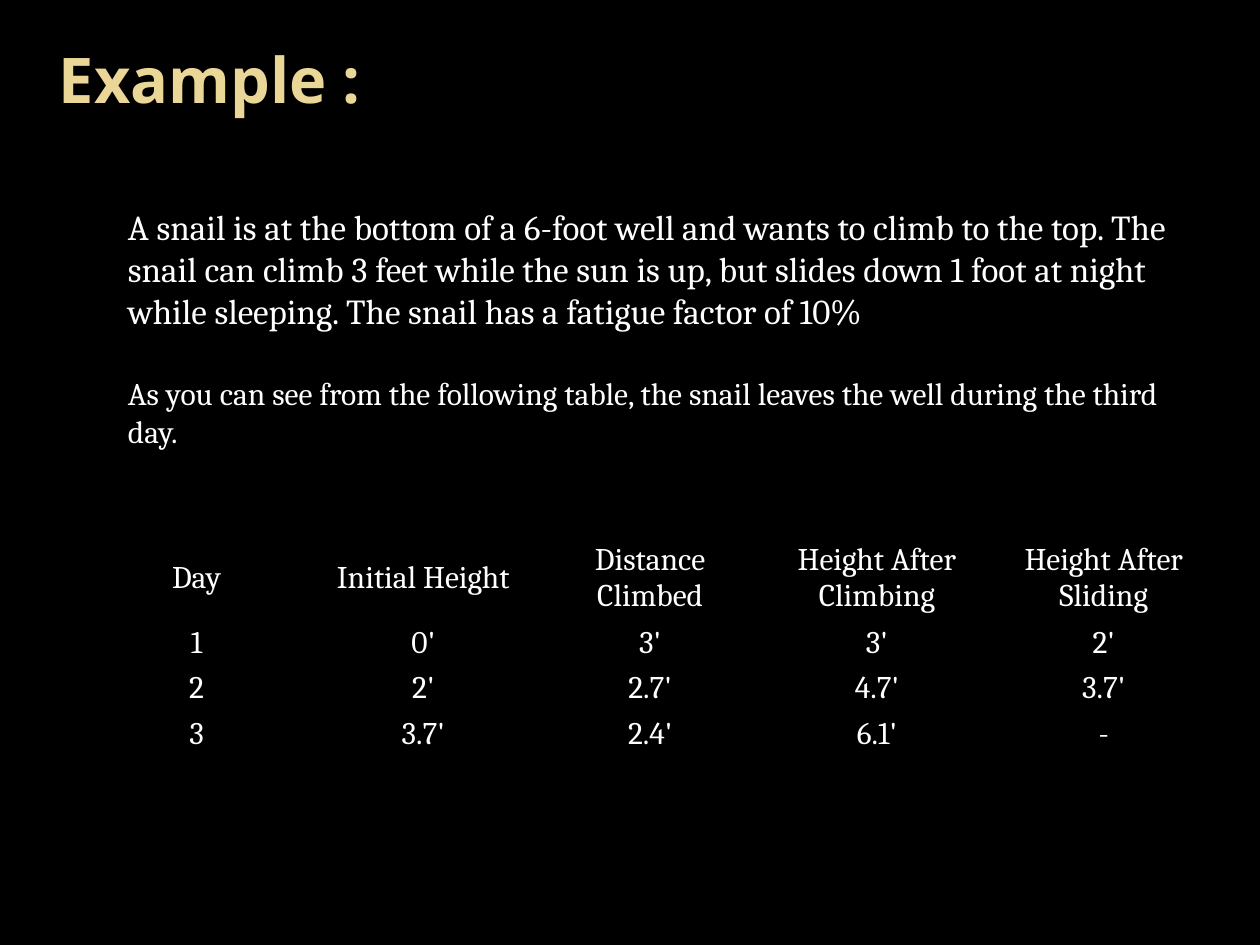
from pptx import Presentation
from pptx.dml.color import RGBColor
from pptx.enum.text import MSO_ANCHOR, PP_ALIGN
from pptx.util import Pt

BACKGROUND, GOLD, WHITE = "000000", "EAD696", "FFFFFF"
NO_STYLE_NO_GRID = "{2D5ABB26-0587-4C30-8999-92F81FD0307C}"

PROBLEM = (
    "A snail is at the bottom of a 6-foot well and wants to climb to the top. "
    "The snail can climb 3 feet while the sun is up, but slides down 1 foot at "
    "night while sleeping. The snail has a fatigue factor of 10%"
)
ANSWER = (
    "As you can see from the following table, the snail leaves the well "
    "during the third day."
)
CLIMB = [
    ["Day", "Initial Height", "Distance Climbed", "Height After Climbing",
     "Height After Sliding"],
    ["1", "0'", "3'", "3'", "2'"],
    ["2", "2'", "2.7'", "4.7'", "3.7'"],
    ["3", "3.7'", "2.4'", "6.1'", "-"],
]


def color(hex_value):
    return RGBColor.from_string(hex_value)


def write(paragraph, text, size=18, font="Cambria", ink=WHITE, bold=False,
          align=PP_ALIGN.LEFT, before=0):
    paragraph.alignment = align
    paragraph.space_before = Pt(before)
    run = paragraph.add_run()
    run.text = text
    run.font.size = Pt(size)
    run.font.name = font
    run.font.bold = bold
    run.font.color.rgb = color(ink)


def add_title(slide, text):
    title = slide.shapes.title
    title.left, title.top, title.width, title.height = Pt(24), Pt(18), Pt(192), Pt(54)
    title.text_frame.vertical_anchor = MSO_ANCHOR.MIDDLE
    write(title.text_frame.paragraphs[0], text, size=36, font="Open Sans",
          ink=GOLD, bold=True, align=PP_ALIGN.CENTER)


def add_story(slide):
    story = slide.shapes.add_textbox(Pt(66), Pt(114), Pt(630), Pt(191.5)).text_frame
    story.word_wrap = True
    write(story.paragraphs[0], PROBLEM, size=20)
    write(story.add_paragraph(), ANSWER, before=24)


def add_climb_table(slide, rows):
    header_height, row_height = 47, 25
    height = header_height + row_height * (len(rows) - 1)
    frame = slide.shapes.add_table(len(rows), len(rows[0]), Pt(47.5), Pt(306.7),
                                   Pt(648), Pt(height))
    table = frame.table
    table.first_row = table.horz_banding = False
    # Plain style: no grid lines
    table._tbl.tblPr[0].text = NO_STYLE_NO_GRID
    for row_index, values in enumerate(rows):
        table.rows[row_index].height = Pt(row_height if row_index else header_height)
        for column_index, value in enumerate(values):
            cell = table.cell(row_index, column_index)
            cell.fill.background()
            cell.vertical_anchor = MSO_ANCHOR.MIDDLE
            cell.margin_left = cell.margin_right = Pt(2.25)
            cell.margin_top = cell.margin_bottom = Pt(2.25)
            write(cell.text_frame.paragraphs[0], value, align=PP_ALIGN.CENTER)


def main():
    deck = Presentation()
    deck.slide_width, deck.slide_height = Pt(720), Pt(540)
    slide = deck.slides.add_slide(deck.slide_layouts.get_by_name("Title Only"))
    slide.background.fill.solid()
    slide.background.fill.fore_color.rgb = color(BACKGROUND)

    # Heading, problem text and day-by-day table
    add_title(slide, "Example :")
    add_story(slide)
    add_climb_table(slide, CLIMB)
    deck.save("out.pptx")


main()
